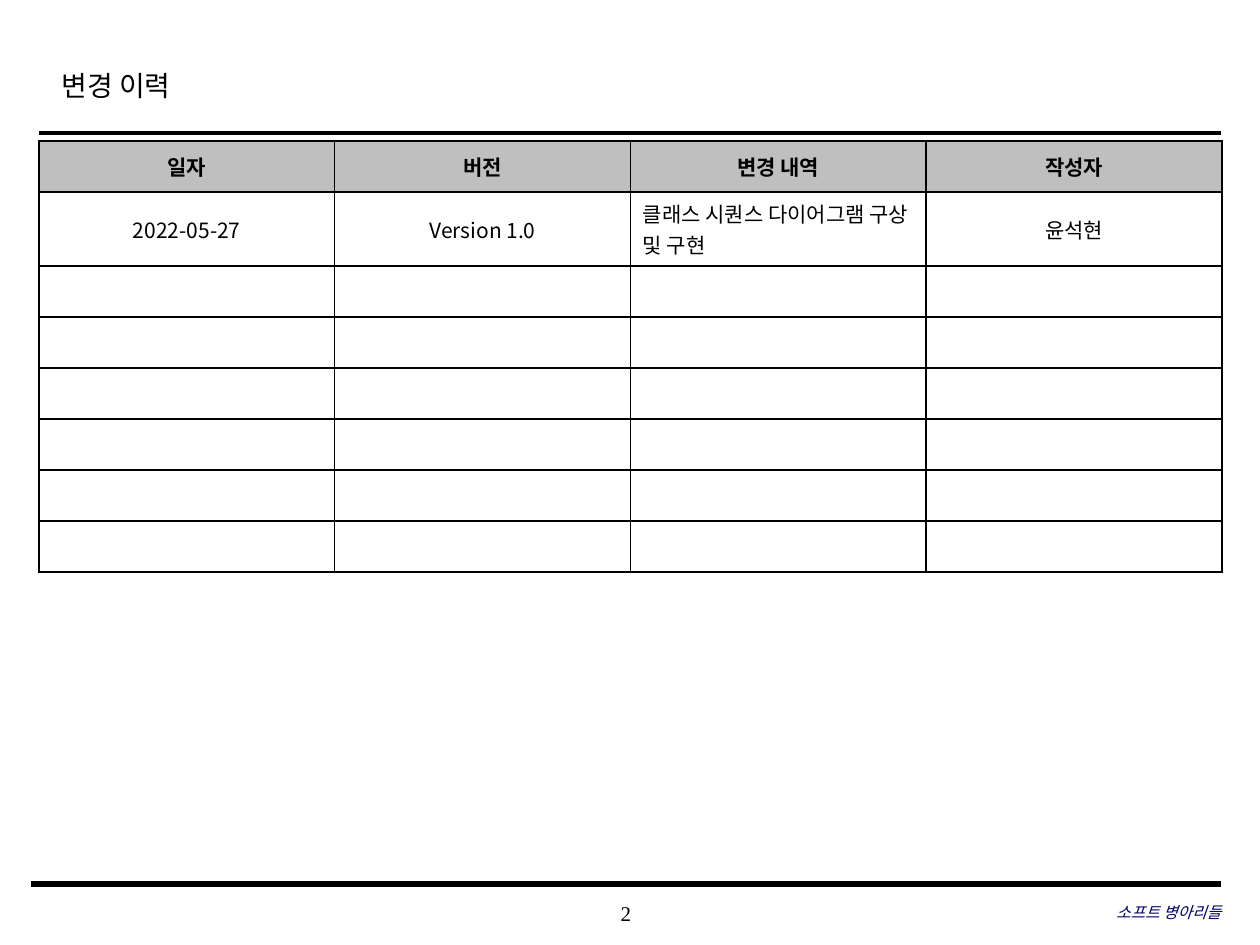
from dataclasses import dataclass

from lxml import etree
from pptx import Presentation, util as u
from pptx.dml.color import RGBColor
from pptx.enum import shapes, text
from pptx.oxml import ns

PX_PER_INCH = 126
ALIGN = text.PP_ALIGN


@dataclass(frozen=True)
class Theme:
    ink: str = "000000"
    accent: str = "000066"
    header: str = "BFBFBF"
    paper: str = "FFFFFF"
    latin: str = "Times New Roman"
    korean: str = "Noto Sans CJK KR"
    title_size: int = 16
    body_size: int = 12
    footer_size: int = 9


@dataclass(frozen=True)
class Box:
    left: int
    top: int
    width: int
    height: int


@dataclass(frozen=True)
class Rule:
    left: int
    right: int
    y: int
    weight: float


@dataclass(frozen=True)
class Footer:
    words: str
    box: Box
    align: ALIGN
    size: int
    color: str
    italic: bool = False


THEME = Theme()
RULES = [Rule(39, 1221, 133, 2.5), Rule(31, 1221, 884, 3)]
FOOTERS = [
    Footer("2", Box(495, 892, 262, 42), ALIGN.CENTER, THEME.body_size, THEME.ink),
    Footer("소프트 병아리들", Box(835, 891, 386, 42), ALIGN.RIGHT,
           THEME.footer_size, THEME.accent, True),
]
HISTORY = [
    ["일자", "버전", "변경 내역", "작성자"],
    ["2022-05-27", "Version 1.0", "클래스 시퀀스 다이어그램 구상 및 구현", "윤석현"],
]
ROW_HEIGHT, NOTE_ROW_HEIGHT = 51, 74
ROW_HEIGHTS = [ROW_HEIGHT, NOTE_ROW_HEIGHT] + [ROW_HEIGHT] * 6
HISTORY_BOX = Box(39, 141, 1183, sum(ROW_HEIGHTS))
NOTE_COLUMN = 2


def emu(px: int) -> int:
    return round(px * 914400 / PX_PER_INCH)


def place(box: Box) -> list[int]:
    return [emu(n) for n in (box.left, box.top, box.width, box.height)]


def style_text(para, size: int, color: str, latin: str,
               bold: bool = False, italic: bool = False) -> None:
    for span in para.runs:
        font = span.font
        font.size, font.name = u.Pt(size), latin
        font.bold, font.italic = bold, italic
        font.color.rgb = RGBColor.from_string(color)
        east_asian = etree.Element(ns.qn("a:ea"), typeface=THEME.korean)
        font._element.find(ns.qn("a:latin")).addnext(east_asian)


def draw_rule(page, rule: Rule) -> None:
    line = page.shapes.add_connector(
        shapes.MSO_CONNECTOR.STRAIGHT,
        emu(rule.left), emu(rule.y), emu(rule.right), emu(rule.y))
    line.line.width = u.Pt(rule.weight)
    line.line.color.rgb = RGBColor.from_string(THEME.ink)
    etree.SubElement(line._element.spPr, ns.qn("a:effectLst"))


def draw_title(page, words: str, box: Box) -> None:
    title = page.shapes.title
    title.left, title.top, title.width, title.height = place(box)
    frame = title.text_frame
    frame.text = words
    frame.vertical_anchor = text.MSO_ANCHOR.TOP
    frame.margin_top = 0
    para = frame.paragraphs[0]
    para.alignment, para.line_spacing = ALIGN.LEFT, 1.2
    style_text(para, THEME.title_size, THEME.ink, THEME.latin)


def draw_footer(page, footer: Footer) -> None:
    frame = page.shapes.add_textbox(*place(footer.box)).text_frame
    frame.text = footer.words
    frame.word_wrap = True
    frame.vertical_anchor = text.MSO_ANCHOR.MIDDLE
    frame.margin_left = frame.margin_right = frame.margin_top = frame.margin_bottom = 0
    para = frame.paragraphs[0]
    para.alignment = footer.align
    style_text(para, footer.size, footer.color, THEME.latin, italic=footer.italic)


def add_borders(cell) -> None:
    properties = cell._tc.get_or_add_tcPr()
    for index, side in enumerate(("lnL", "lnR", "lnT", "lnB")):
        border = etree.Element(ns.qn(f"a:{side}"), w=str(u.Pt(1)))
        fill = etree.SubElement(border, ns.qn("a:solidFill"))
        etree.SubElement(fill, ns.qn("a:srgbClr"), val=THEME.ink)
        properties.insert(index, border)


def fill_cell(cell, words: str, header: bool, align: ALIGN) -> None:
    cell.fill.solid()
    cell.fill.fore_color.rgb = RGBColor.from_string(
        THEME.header if header else THEME.paper)
    add_borders(cell)
    cell.vertical_anchor = text.MSO_ANCHOR.MIDDLE
    para = cell.text_frame.paragraphs[0]
    para.alignment = align
    if words:
        para.text = words
        style_text(para, THEME.body_size, THEME.ink, THEME.korean, bold=header)
    else:
        # Keeps an empty row from growing to the default type size
        etree.SubElement(para._p, ns.qn("a:endParaRPr"), sz=str(THEME.body_size * 100))


def draw_history(page) -> None:
    columns = len(HISTORY[0])
    table = page.shapes.add_table(len(ROW_HEIGHTS), columns, *place(HISTORY_BOX)).table
    for row, height in zip(table.rows, ROW_HEIGHTS):
        row.height = emu(height)
    blank_rows = [[""] * columns] * (len(ROW_HEIGHTS) - len(HISTORY))
    for r, entry in enumerate(HISTORY + blank_rows):
        for c, words in enumerate(entry):
            is_note = r > 0 and c == NOTE_COLUMN
            fill_cell(table.cell(r, c), words, r == 0,
                      ALIGN.LEFT if is_note else ALIGN.CENTER)


def main() -> None:
    deck = Presentation()
    deck.slide_width, deck.slide_height = u.Inches(10), u.Inches(7.5)
    page = deck.slides.add_slide(deck.slide_layouts.get_by_name("Title Only"))

    # Page frame
    for rule in RULES:
        draw_rule(page, rule)
    for footer in FOOTERS:
        draw_footer(page, footer)

    # Title and change history
    draw_title(page, "변경 이력", Box(49, 62, 951, 63))
    draw_history(page)

    deck.save("out.pptx")


if __name__ == "__main__":
    main()
